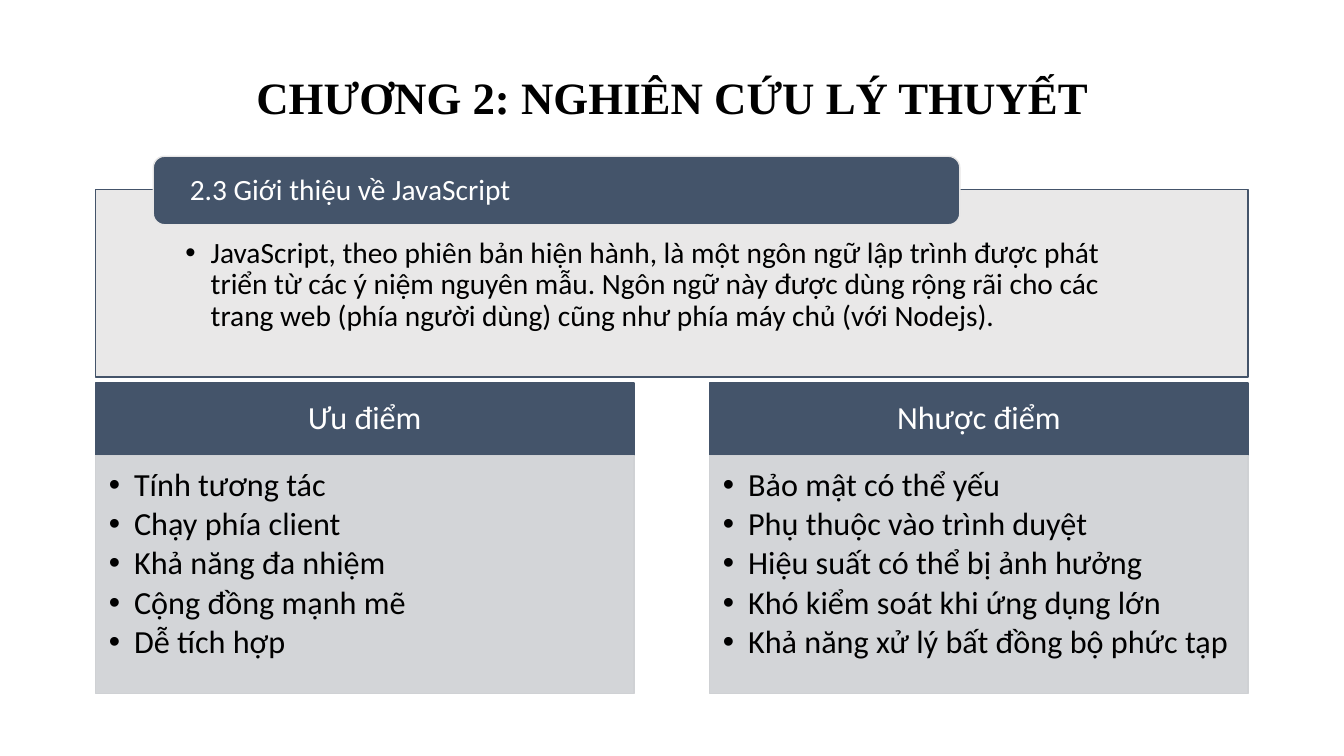
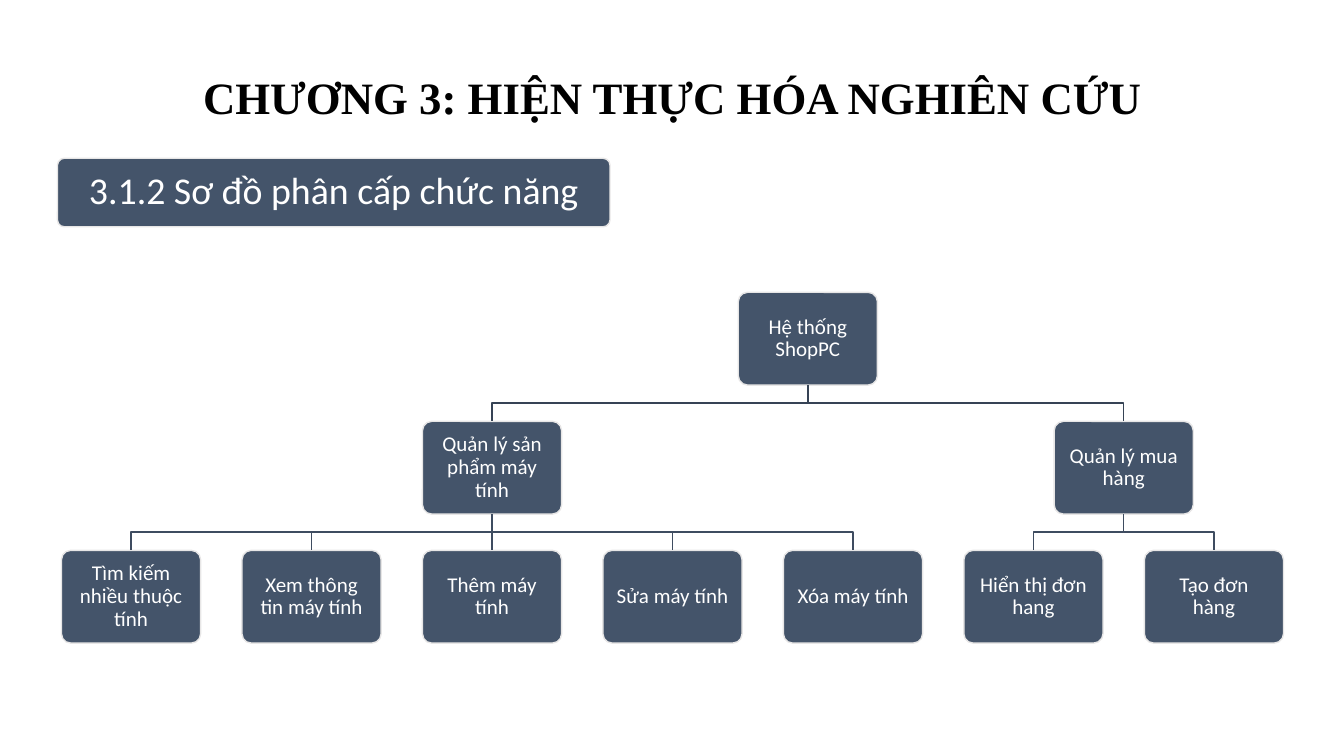
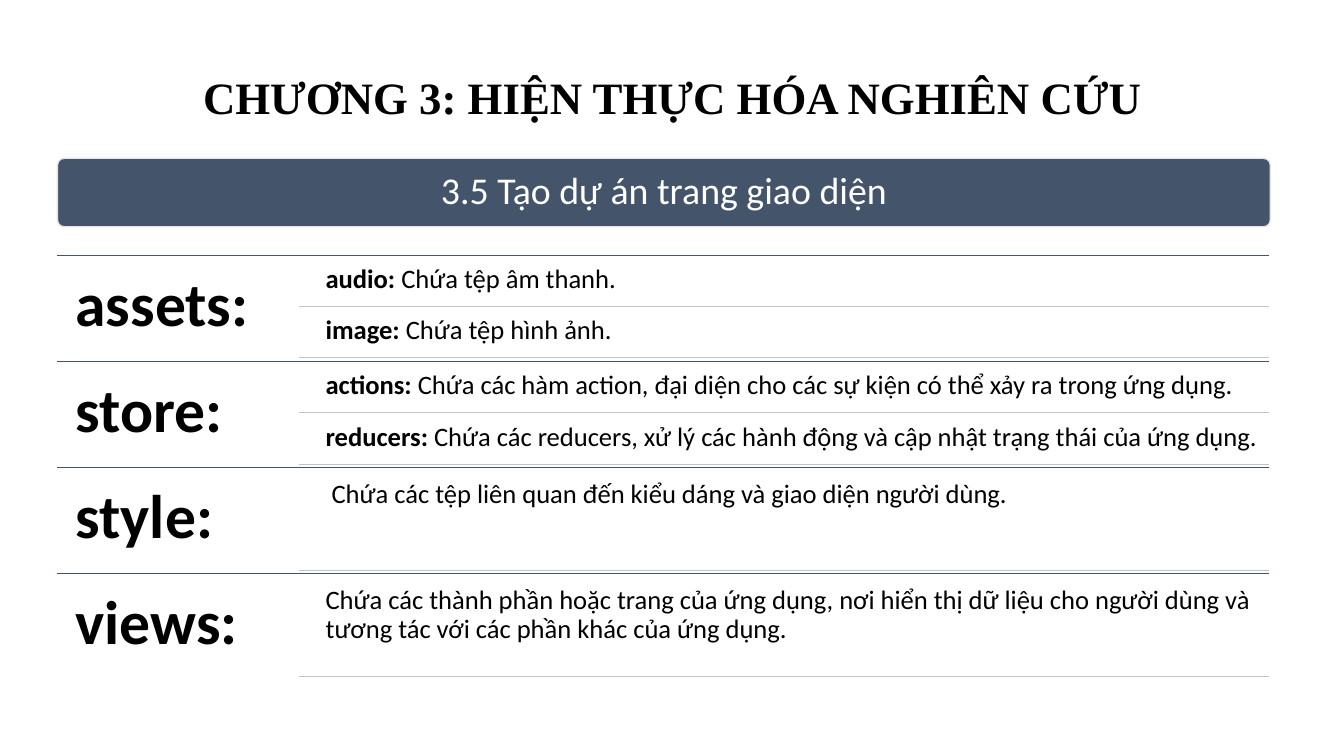
from pptx import Presentation
from pptx import util as u
from pptx.dml.color import RGBColor
from pptx.enum import shapes, text
from pptx.oxml.ns import qn
from lxml import etree

Inches, Pt = u.Inches, u.Pt
RECT = shapes.MSO_SHAPE.RECTANGLE
ROUNDED = shapes.MSO_SHAPE.ROUNDED_RECTANGLE
LEFT, CENTER = text.PP_ALIGN.LEFT, text.PP_ALIGN.CENTER
TOP, MIDDLE, BOTTOM = (text.MSO_ANCHOR.TOP, text.MSO_ANCHOR.MIDDLE,
                       text.MSO_ANCHOR.BOTTOM)
COLORS = {
    "slate": "44546A", "pale": "E7E6E6", "gray": "CFD1D4", "rule": "C1C3C7",
    "branch_1": "364355", "branch_2": "3E4C60", "black": "000000", "white": "FFFFFF",
}
BODY_FONT, TITLE_FONT = "Calibri", "Times New Roman"
NODE_WIDTH, NODE_HEIGHT = 1.38, 0.92


def rgb(name):
    return RGBColor.from_string(COLORS[name])


def write(shape, paragraphs, size, color="black", font=BODY_FONT, align=LEFT,
          anchor=TOP, insets=(0, 0, 0, 0), bullet=False, after=0):
    """Fill a shape with paragraphs, each a list of (text, bold) runs."""
    frame = shape.text_frame
    frame.word_wrap = True
    frame.vertical_anchor = anchor
    (frame.margin_left, frame.margin_top,
     frame.margin_right, frame.margin_bottom) = map(Inches, insets)
    for index, runs in enumerate(paragraphs):
        paragraph = frame.paragraphs[0] if index == 0 else frame.add_paragraph()
        paragraph.alignment = align
        paragraph.line_spacing = 0.9
        paragraph.space_after = Pt(after)
        if bullet:
            properties = paragraph._p.get_or_add_pPr()
            properties.set("marL", str(Inches(0.25)))
            properties.set("indent", str(-Inches(0.25)))
            etree.SubElement(properties, qn("a:buFont"), typeface="Arial")
            etree.SubElement(properties, qn("a:buChar"), char="•")
        for words, bold in runs:
            run = paragraph.add_run()
            run.text = words
            run.font.size = Pt(size)
            run.font.name = font
            run.font.bold = bold
            run.font.color.rgb = rgb(color)


def add_box(slide, kind, box, fill, line, corner=None, alpha=None):
    shape = slide.shapes.add_shape(kind, *map(Inches, box))
    shape.shadow.inherit = False
    shape.fill.solid()
    shape.fill.fore_color.rgb = rgb(fill)
    shape.line.color.rgb = rgb(line)
    shape.line.width = Pt(1)
    if corner is not None:
        shape.adjustments[0] = corner
    if alpha is not None:
        color = shape._element.spPr.find(qn("a:solidFill")).find(qn("a:srgbClr"))
        etree.SubElement(color, qn("a:alpha"), val=str(alpha * 1000))
    return shape


def add_text(slide, box, paragraphs, size, **style):
    shape = slide.shapes.add_textbox(*map(Inches, box))
    write(shape, paragraphs, size, **style)


def add_line(slide, start, end, color, width, shadow=False):
    line = slide.shapes.add_connector(
        shapes.MSO_CONNECTOR.STRAIGHT, *map(Inches, (*start, *end)))
    line.line.color.rgb = rgb(color)
    line.line.width = Pt(width)
    effects = etree.SubElement(line._element.spPr, qn("a:effectLst"))
    if shadow:
        outer = etree.SubElement(
            effects, qn("a:outerShdw"), blurRad=str(Pt(4.5)), dist=str(Pt(1.5)),
            dir="5400000", algn="ctr", rotWithShape="0")
        black = etree.SubElement(outer, qn("a:srgbClr"), val=COLORS["black"])
        etree.SubElement(black, qn("a:alpha"), val="63000")
    return line


def add_titled_slide(presentation, title):
    slide = presentation.slides.add_slide(presentation.slide_layouts[6])
    add_text(slide, (1.67, 0.76, 10, 0.52), [[(title, True)]], 32, font=TITLE_FONT,
             align=CENTER, anchor=BOTTOM, insets=(0.1, 0.05, 0.1, 0.05))
    return slide


def add_section_band(slide, width, label):
    band = add_box(slide, ROUNDED, (0.57, 1.57, width, 0.68), "slate", "pale", 0.1)
    write(band, [[(label, False)]], 27, color="white", align=CENTER, anchor=MIDDLE)


def add_intro_panel(slide, box, label, body):
    left, top, width, height = box
    panel = add_box(slide, RECT, box, "pale", "slate", alpha=90)
    write(panel, [[(body, False)]], 21, insets=(0.89, 0.48, 0.89, 0.16), bullet=True)
    tab = add_box(slide, ROUNDED, (left + 0.57, top - 0.33, 8, 0.68), "slate", "pale")
    write(tab, [[(label, False)]], 21, color="white", anchor=MIDDLE,
          insets=(0.33, 0, 0.33, 0))


def add_list_column(slide, box, heading, items):
    left, top, width, height = box
    header_height = 0.72
    header = add_box(slide, RECT, (left, top, width, header_height), "slate", "slate")
    write(header, [[(heading, False)]], 23, color="white", align=CENTER,
          anchor=MIDDLE, insets=(0.18, 0.1, 0.18, 0.1))
    body = add_box(slide, RECT,
                   (left, top + header_height, width, height - header_height),
                   "gray", "gray", alpha=90)
    write(body, [[(item, False)] for item in items], 23,
          insets=(0.13, 0.13, 0.18, 0.2), bullet=True, after=3.2)


def add_node(slide, center, top, label):
    node = add_box(slide, ROUNDED,
                   (center - NODE_WIDTH / 2, top, NODE_WIDTH, NODE_HEIGHT),
                   "slate", "pale", 0.1)
    write(node, [[(label, False)]], 15, color="white", align=CENTER, anchor=MIDDLE,
          insets=(0.09, 0.09, 0.09, 0.09))
    return node


def add_branch(slide, parent, child, color):
    start_x = parent.left + parent.width // 2
    end_x = child.left + child.width // 2
    start_y, end_y = parent.top + parent.height, child.top
    if abs(start_x - end_x) < Inches(0.02):
        line = add_line(slide, (0, 0), (1, 1), color, 1)
        line.begin_connect(parent, 2)
        line.end_connect(child, 0)
        return
    middle_y = (start_y + end_y) // 2
    builder = slide.shapes.build_freeform(start_x, start_y)
    builder.add_line_segments(
        [(start_x, middle_y), (end_x, middle_y), (end_x, end_y)], close=False)
    elbow = builder.convert_to_shape()
    elbow.shadow.inherit = False
    elbow.fill.background()
    elbow.line.color.rgb = rgb(color)
    elbow.line.width = Pt(1)


def add_hierarchy(slide, left, top, root_label, groups):
    """Centre each parent over its first and last child."""
    column_step, row_step = 1.79, 1.28
    column, parents = 0, []
    for label, leaf_labels in groups:
        centers = [left + NODE_WIDTH / 2 + (column + index) * column_step
                   for index in range(len(leaf_labels))]
        column += len(leaf_labels)
        center = (centers[0] + centers[-1]) / 2
        parent = add_node(slide, center, top + row_step, label)
        parents.append((center, parent))
        for leaf_center, leaf_label in zip(centers, leaf_labels):
            leaf = add_node(slide, leaf_center, top + 2 * row_step, leaf_label)
            add_branch(slide, parent, leaf, "branch_2")
    root = add_node(slide, (parents[0][0] + parents[-1][0]) / 2, top, root_label)
    for _, parent in parents:
        add_branch(slide, root, parent, "branch_1")


def add_folder_section(slide, box, name, items):
    left, top, width, height = box
    right = left + width
    add_line(slide, (left, top), (right, top), "slate", 0.5, shadow=True)
    add_text(slide, (left, top, 2.41, height), [[(name, True)]], 44,
             insets=(0.18, 0.18, 0.18, 0.18))
    gap, item_height = 0.05 / len(items), 0.97 / len(items)
    for index, runs in enumerate(items):
        item_top = top + gap + index * (gap + item_height)
        item_bottom = item_top + item_height
        add_text(slide, (left + 2.58, item_top, width - 2.58, item_height), [runs], 19,
                 insets=(0.08, 0.08, 0.08, 0.08))
        add_line(slide, (left + 2.4, item_bottom), (right, item_bottom), "rule", 0.5)


def build_javascript_slide(presentation):
    slide = add_titled_slide(presentation, "CHƯƠNG 2: NGHIÊN CỨU LÝ THUYẾT")
    add_intro_panel(
        slide, (0.95, 1.88, 11.43, 1.86), "2.3 Giới thiệu về JavaScript",
        "JavaScript, theo phiên bản hiện hành, là một ngôn ngữ lập trình được phát "
        "triển từ các ý niệm nguyên mẫu. Ngôn ngữ này được dùng rộng rãi cho các "
        "trang web (phía người dùng) cũng như phía máy chủ (với Nodejs).")
    columns = [
        ("Ưu điểm", ["Tính tương tác", "Chạy phía client", "Khả năng đa nhiệm",
                     "Cộng đồng mạnh mẽ", "Dễ tích hợp"]),
        ("Nhược điểm", ["Bảo mật có thể yếu", "Phụ thuộc vào trình duyệt",
                        "Hiệu suất có thể bị ảnh hưởng",
                        "Khó kiểm soát khi ứng dụng lớn",
                        "Khả năng xử lý bất đồng bộ phức tạp"]),
    ]
    for index, (heading, items) in enumerate(columns):
        add_list_column(slide, (0.95 + index * 6.09, 3.8, 5.34, 3.08), heading, items)


def build_function_slide(presentation):
    slide = add_titled_slide(presentation, "CHƯƠNG 3: HIỆN THỰC HÓA NGHIÊN CỨU")
    add_section_band(slide, 5.48, "3.1.2 Sơ đồ phân cấp chức năng")
    add_hierarchy(slide, 0.61, 2.9, "Hệ thống ShopPC", [
        ("Quản lý sản phẩm máy tính",
         ["Tìm kiếm nhiều thuộc tính", "Xem thông tin máy tính", "Thêm máy tính",
          "Sửa máy tính", "Xóa máy tính"]),
        ("Quản lý mua hàng", ["Hiển thị đơn hang", "Tạo đơn hàng"]),
    ])


def build_project_slide(presentation):
    slide = add_titled_slide(presentation, "CHƯƠNG 3: HIỆN THỰC HÓA NGHIÊN CỨU")
    add_section_band(slide, 12.03, "3.5 Tạo dự án trang giao diện")
    folders = [
        ("assets:", [[("audio:", True), (" Chứa tệp âm thanh.", False)],
                     [("image:", True), (" Chứa tệp hình ảnh.", False)]]),
        ("store:", [
            [("actions:", True), (" Chứa các hàm action, đại diện cho các sự kiện "
                                  "có thể xảy ra trong ứng dụng.", False)],
            [("reducers:", True), (" Chứa các reducers, xử lý các hành động và cập "
                                   "nhật trạng thái của ứng dụng.", False)]]),
        ("style:", [[(" Chứa các tệp liên quan đến kiểu dáng và giao diện "
                      "người dùng.", False)]]),
        ("views:", [[("Chứa các thành phần hoặc trang của ứng dụng, nơi hiển thị dữ "
                      "liệu cho người dùng và tương tác với các phần khác của "
                      "ứng dụng.", False)]]),
    ]
    section_height = 4.21 / len(folders)
    for index, (name, items) in enumerate(folders):
        add_folder_section(
            slide, (0.57, 2.53 + index * section_height, 12.02, section_height),
            name, items)


def main():
    presentation = Presentation()
    presentation.slide_width = Inches(13.33)
    presentation.slide_height = Inches(7.5)
    build_javascript_slide(presentation)
    build_function_slide(presentation)
    build_project_slide(presentation)
    presentation.save("out.pptx")


if __name__ == "__main__":
    main()
